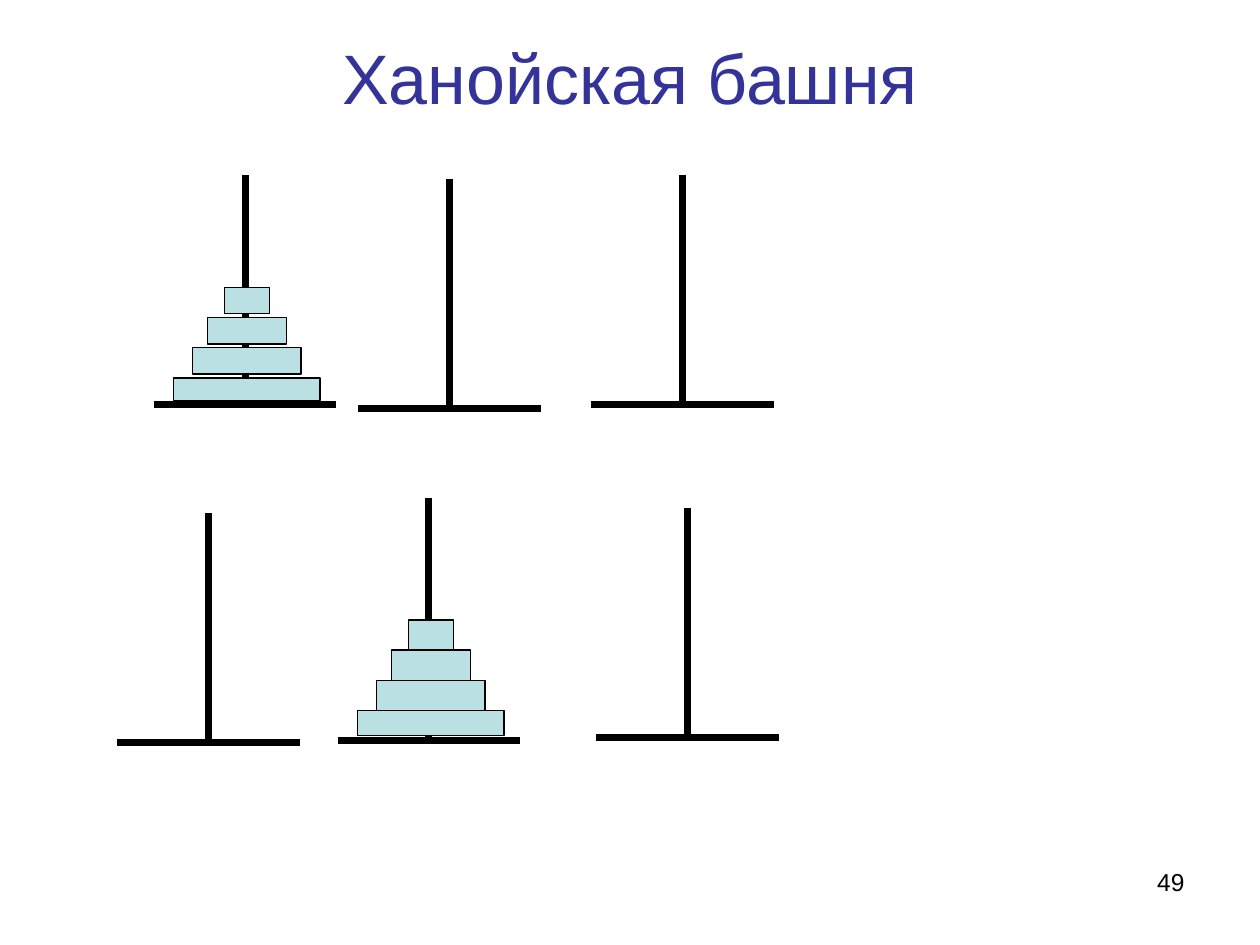
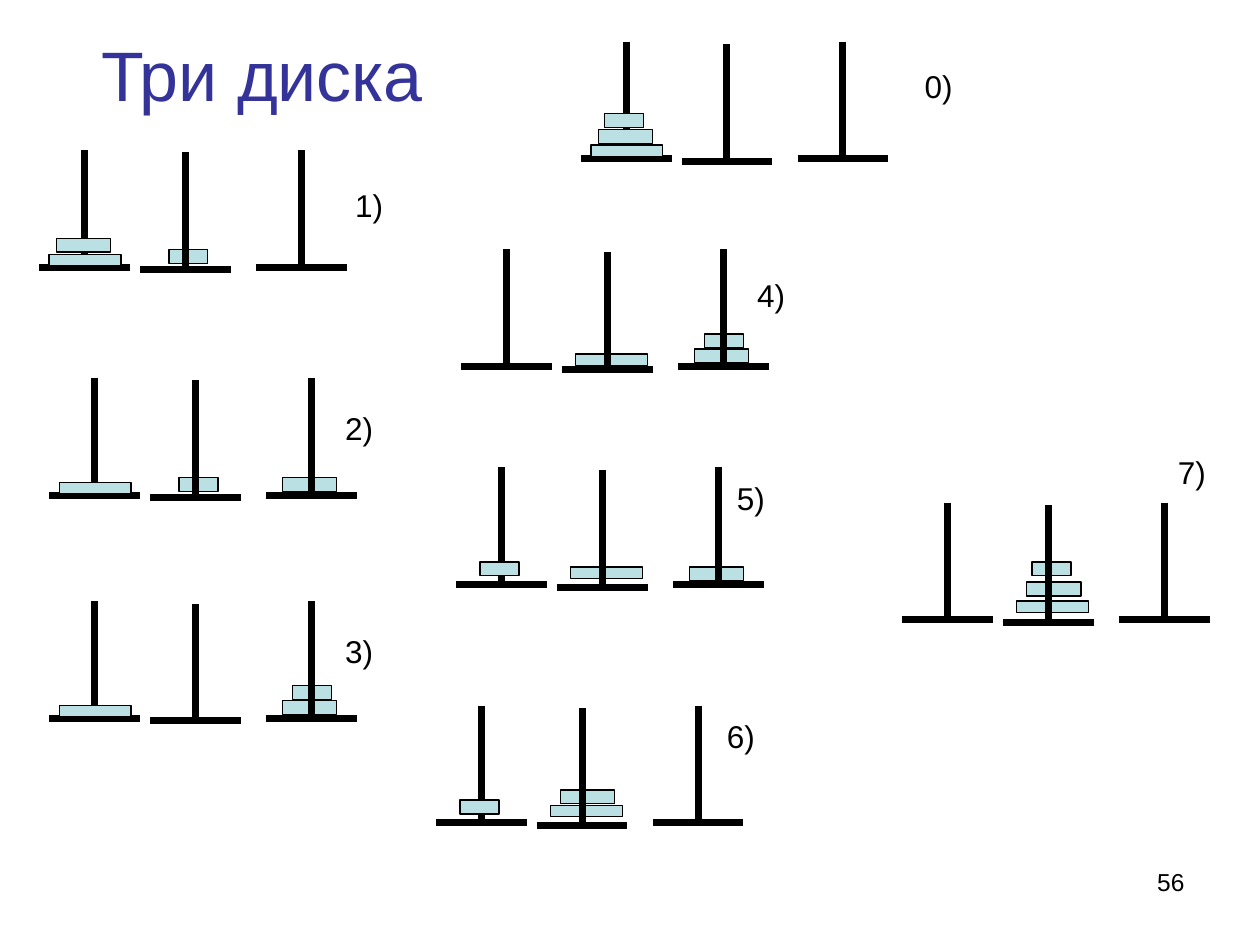
from lxml import etree
from pptx import Presentation
from pptx.dml.color import RGBColor
from pptx.enum.shapes import MSO_CONNECTOR, MSO_SHAPE
from pptx.enum.text import MSO_ANCHOR, MSO_AUTO_SIZE, PP_ALIGN
from pptx.oxml.ns import qn
from pptx.util import Inches, Pt

STRAIGHT = MSO_CONNECTOR.STRAIGHT
RECTANGLE = MSO_SHAPE.RECTANGLE
MIDDLE = MSO_ANCHOR.MIDDLE
NO_AUTOFIT = MSO_AUTO_SIZE.NONE
LEFT, CENTER, RIGHT = PP_ALIGN.LEFT, PP_ALIGN.CENTER, PP_ALIGN.RIGHT

FONT = "Arial"
TITLE_COLOR = "333399"
INK = "000000"
DISC_FILL = "BBE0E3"
TITLE_ONLY = 5

# Large tower: peg size, then disc widths from the bottom up
TOWER_WIDTH, TOWER_HEIGHT = 1.45, 1.82
TOWER_DISCS = (1.16, 0.86, 0.63, 0.36)
TOWER_STEP = 0.24

# Small puzzle: peg size, and each peg's offset from the puzzle's left and base
PEG_WIDTH, PEG_HEIGHT = 0.72, 0.93
PEG_OFFSETS = ((0, 0), (0.8, 0.02), (1.72, 0))
# Disc width, height and left offset on each peg
DISCS = {
    "large": (0.57, 0.09, (0.08, 0.91, 1.8)),
    "medium": (0.43, 0.11, (0.14, 0.99, 1.85)),
    "small": (0.31, 0.11, (0.19, 1.03, 1.93)),
}

# Left, base, label position, then (peg, rise of the top edge) for
# the large, medium and small disc; the index is the step number
STEPS = (
    (4.61, 1.26, (7.24, 0.48), ((0, 0.11), (0, 0.23), (0, 0.36))),
    (0.31, 2.12, (2.72, 1.43), ((0, 0.1), (0, 0.23), (1, 0.14))),
    (0.39, 3.93, (2.64, 3.2), ((0, 0.1), (2, 0.14), (1, 0.14))),
    (0.39, 5.7, (2.64, 4.97), ((0, 0.1), (2, 0.14), (2, 0.26))),
    (3.66, 2.91, (5.91, 2.14), ((1, 0.1), (2, 0.14), (2, 0.26))),
    (3.62, 4.64, (5.75, 3.75), ((1, 0.14), (2, 0.14), (0, 0.18))),
    (3.46, 6.53, (5.67, 5.64), ((1, 0.14), (1, 0.26), (0, 0.18))),
    (7.16, 4.92, (9.25, 3.55), ((1, 0.15), (1, 0.3), (1, 0.46))),
)


def color(hex_code):
    return RGBColor.from_string(hex_code)


def write(frame, text, size, ink, align):
    frame.word_wrap = True
    frame.auto_size = NO_AUTOFIT
    paragraph = frame.paragraphs[0]
    paragraph.alignment = align
    span = paragraph.add_run()
    span.text = text
    span.font.name = FONT
    span.font.size = Pt(size)
    span.font.color.rgb = color(ink)


def add_text(slide, text, left, top, width, height, size, align=LEFT):
    box = slide.shapes.add_textbox(Inches(left), Inches(top), Inches(width), Inches(height))
    write(box.text_frame, text, size, INK, align)


def add_titled_slide(deck, title_text, title_width, title_height, number):
    slide = deck.slides.add_slide(deck.slide_layouts[TITLE_ONLY])
    title = slide.shapes.title
    title.left, title.top = Inches(0.5), Inches(0.3)
    title.width, title.height = Inches(title_width), Inches(title_height)
    title.text_frame.vertical_anchor = MIDDLE
    write(title.text_frame, title_text, 40, TITLE_COLOR, CENTER)
    add_text(slide, number, 7.17, 6.83, 2.33, 0.52, 14, RIGHT)
    return slide


def add_line(slide, *ends):
    line = slide.shapes.add_connector(STRAIGHT, *(Inches(value) for value in ends))
    line.line.color.rgb = color(INK)
    line.line.width = Pt(4)
    etree.SubElement(line._element.spPr, qn("a:effectLst"))


def add_peg(slide, left, base, width, height):
    center = left + width / 2
    add_line(slide, left, base, left + width, base)
    add_line(slide, center, base, center, base - height)


def add_disc(slide, left, top, width, height):
    disc = slide.shapes.add_shape(
        RECTANGLE, Inches(left), Inches(top), Inches(width), Inches(height))
    disc.shadow.inherit = False
    disc.fill.solid()
    disc.fill.fore_color.rgb = color(DISC_FILL)
    disc.line.color.rgb = color(INK)
    disc.line.width = Pt(0.75)


def add_tower(slide, left, base, peg_height, bottom_rise, disc_heights):
    """Draw a peg with all discs; disc_heights holds the bottom one and the rest."""
    add_peg(slide, left, base, TOWER_WIDTH, peg_height)
    for level, width in enumerate(TOWER_DISCS):
        disc_left = left + (TOWER_WIDTH + 0.03 - width) / 2
        top = base - bottom_rise - level * TOWER_STEP
        add_disc(slide, disc_left, top, width, disc_heights[min(level, 1)])


def add_step(slide, left, base, places):
    """Draw three pegs; discs lie in front of the first and behind the others."""
    def add_small_peg(peg):
        shift, drop = PEG_OFFSETS[peg]
        add_peg(slide, left + shift, base + drop, PEG_WIDTH, PEG_HEIGHT)

    add_small_peg(0)
    for (width, height, offsets), (peg, rise) in zip(DISCS.values(), places):
        add_disc(slide, left + offsets[peg], base - rise, width, height)
    add_small_peg(1)
    add_small_peg(2)


def build_tower_slide(deck):
    slide = add_titled_slide(deck, "Ханойская башня", 9, 0.61, "49")
    add_tower(slide, 1.22, 3.21, TOWER_HEIGHT, 0.21, (0.18, 0.21))
    add_tower(slide, 2.68, 5.88, 1.93, 0.24, (0.2, 0.24))
    for left, base in ((2.84, 3.24), (4.69, 3.21), (0.93, 5.89), (4.73, 5.85)):
        add_peg(slide, left, base, TOWER_WIDTH, TOWER_HEIGHT)


def build_steps_slide(deck):
    slide = add_titled_slide(deck, "Три диска", 3.16, 0.57, "56")
    for number, (left, base, label, places) in enumerate(STEPS):
        add_step(slide, left, base, places)
        add_text(slide, f"{number})", *label, 0.75, 0.4, 18)


def main():
    deck = Presentation()
    deck.slide_width, deck.slide_height = Inches(10), Inches(7.5)
    build_tower_slide(deck)
    build_steps_slide(deck)
    deck.save("out.pptx")


if __name__ == "__main__":
    main()
